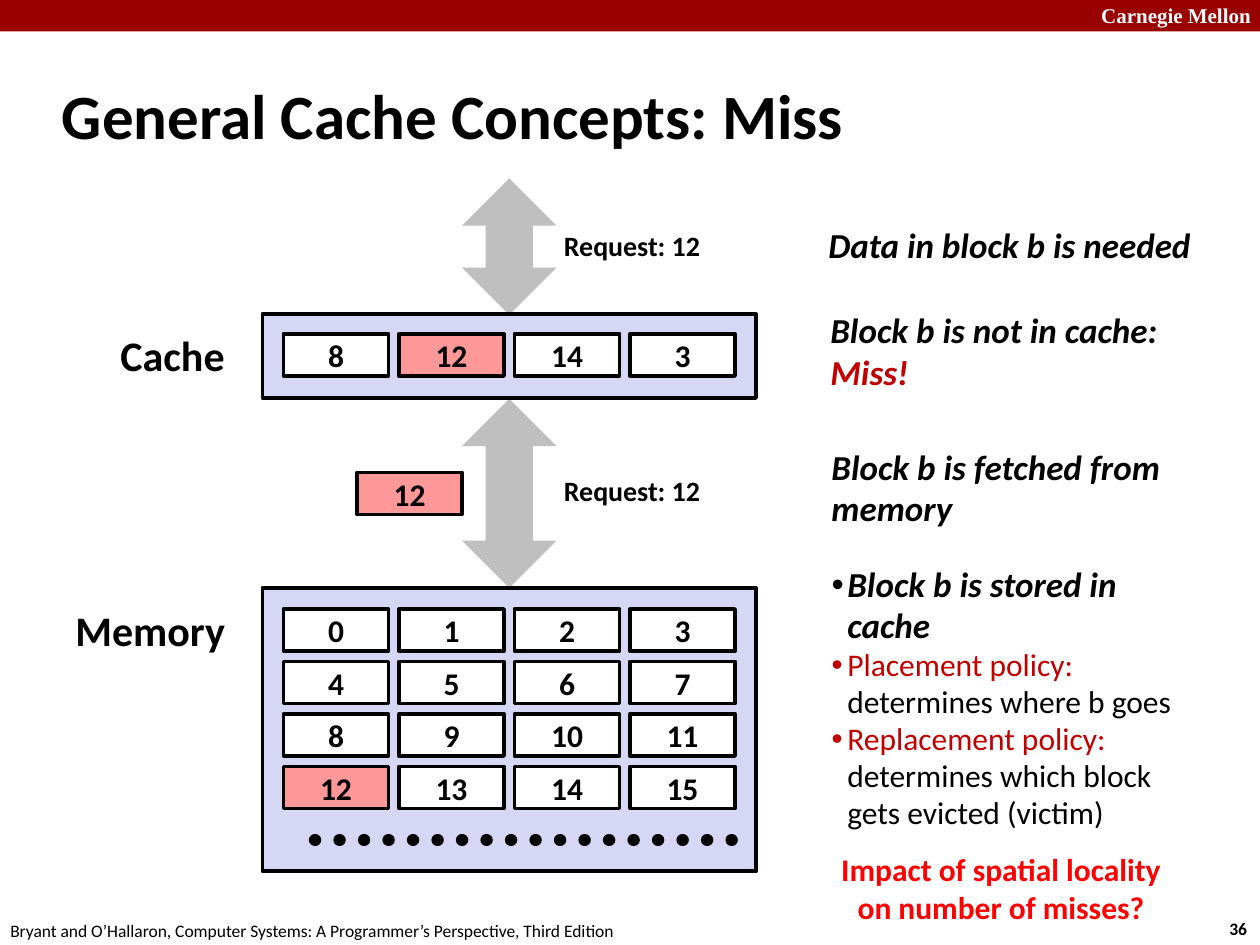
from dataclasses import dataclass

from pptx import Presentation
from pptx import util as u
from pptx.dml.color import RGBColor
from pptx.enum import dml, shapes, text
from pptx.oxml.ns import qn
from lxml import etree

EMU_PER_PX = 7620  # 120 px to the inch


@dataclass(frozen=True)
class Theme:
    font: str = "Calibri"
    banner_font: str = "Times New Roman"
    black: str = "000000"
    white: str = "FFFFFF"
    banner: str = "990000"
    arrow: str = "BFBFBF"
    panel: str = "D6D6F5"
    block: str = "FFFFFF"
    active: str = "FF9999"
    accent: str = "C00000"
    question: str = "FF0000"
    title_size: int = 36
    label_size: int = 24
    note_size: int = 20
    body_size: int = 18
    request_size: int = 16
    banner_size: int = 12
    footer_size: int = 10
    outline: float = 2.25
    dots: int = 7
    note_spacing: float = 0.98


def px(value):
    return u.Emu(value * EMU_PER_PX)


def box(*lengths):
    return [px(length) for length in lengths]


class SlideBuilder:
    def __init__(self, slide, theme):
        self.slide = slide
        self.theme = theme

    def style(self, item, size, color=None, bold=True, italic=False, font=None):
        """Format a paragraph's runs, or one single run."""
        for run in getattr(item, "runs", [item]):
            run.font.name = font or self.theme.font
            run.font.size = u.Pt(size)
            run.font.bold = bold
            run.font.italic = italic
            run.font.color.rgb = RGBColor.from_string(color or self.theme.black)

    def title(self, words, *bounds):
        shape = self.slide.shapes.title
        shape.left, shape.top, shape.width, shape.height = box(*bounds)
        frame = shape.text_frame
        frame.text = words
        frame.vertical_anchor = text.MSO_ANCHOR.MIDDLE
        frame.paragraphs[0].alignment = text.PP_ALIGN.LEFT
        self.style(frame.paragraphs[0], self.theme.title_size)

    def shape(self, kind, fill, *bounds, outlined=False):
        shape = self.slide.shapes.add_shape(kind, *box(*bounds))
        shape.shadow.inherit = False
        shape.fill.solid()
        shape.fill.fore_color.rgb = RGBColor.from_string(fill)
        if outlined:
            shape.line.color.rgb = RGBColor.from_string(self.theme.black)
            shape.line.width = u.Pt(self.theme.outline)
        else:
            shape.line.fill.background()
        return shape

    def panel(self, *bounds):
        self.shape(shapes.MSO_SHAPE.RECTANGLE, self.theme.panel, *bounds, outlined=True)

    def arrow(self, *bounds):
        self.shape(shapes.MSO_SHAPE.UP_DOWN_ARROW, self.theme.arrow, *bounds)

    def block(self, number, left, top):
        fill = self.theme.active if number == 12 else self.theme.block
        shape = self.shape(shapes.MSO_SHAPE.RECTANGLE, fill, left, top, 100, 40, outlined=True)
        frame = shape.text_frame
        frame.text = str(number)
        frame.vertical_anchor = text.MSO_ANCHOR.MIDDLE
        frame.paragraphs[0].alignment = text.PP_ALIGN.CENTER
        self.style(frame.paragraphs[0], self.theme.body_size)

    def block_row(self, numbers, top):
        for column, number in enumerate(numbers):
            self.block(number, 270 + 110 * column, top)

    def text(self, words, *bounds, size, centred=False, **look):
        frame = self.slide.shapes.add_textbox(*box(*bounds)).text_frame
        frame.text = words
        frame.word_wrap = False
        for paragraph in frame.paragraphs:
            if centred:
                paragraph.alignment = text.PP_ALIGN.CENTER
            self.style(paragraph, size, **look)
        return frame

    def note(self, words, *bounds):
        frame = self.text(words, *bounds, size=self.theme.note_size, italic=True)
        frame.vertical_anchor = text.MSO_ANCHOR.MIDDLE
        for paragraph in frame.paragraphs:
            paragraph.line_spacing = self.theme.note_spacing
        return frame

    def policy_list(self, heading, items, *bounds):
        shape = self.slide.placeholders[1]
        shape.left, shape.top, shape.width, shape.height = box(*bounds)
        frame = shape.text_frame
        frame.text = "\n".join([heading] + items)
        frame.word_wrap = False
        frame.auto_size = text.MSO_AUTO_SIZE.NONE
        frame.vertical_anchor = text.MSO_ANCHOR.MIDDLE
        first, *rest = frame.paragraphs
        for paragraph in frame.paragraphs:
            self.bullet(paragraph, None if paragraph is first else "•")
            paragraph.line_spacing = self.theme.note_spacing
            paragraph.space_before = u.Pt(0)
        self.style(first, self.theme.note_size, italic=True)
        for paragraph in rest:
            self.style(paragraph, self.theme.body_size, bold=False)
            self.style(paragraph.runs[0], self.theme.body_size, self.theme.accent, bold=False)

    def bullet(self, paragraph, character):
        properties = paragraph._p.get_or_add_pPr()
        indent = px(15) if character else 0
        properties.set("marL", str(indent))
        properties.set("indent", str(-indent))
        if character:
            etree.SubElement(properties, qn("a:buFont")).set("typeface", "Arial")
            etree.SubElement(properties, qn("a:buChar")).set("char", character)
        else:
            etree.SubElement(properties, qn("a:buNone"))

    def dotted_line(self, *ends):
        line = self.slide.shapes.add_connector(shapes.MSO_CONNECTOR.STRAIGHT, *box(*ends))
        line.line.color.rgb = RGBColor.from_string(self.theme.black)
        line.line.width = u.Pt(self.theme.dots)
        line.line.dash_style = dml.MSO_LINE.ROUND_DOT
        properties = line._element.spPr
        properties.find(qn("a:ln")).set("cap", "rnd")
        etree.SubElement(properties, qn("a:effectLst"))


def main():
    theme = Theme()
    presentation = Presentation()
    presentation.slide_width, presentation.slide_height = box(1200, 900)
    slide = presentation.slides.add_slide(presentation.slide_layouts[1])
    builder = SlideBuilder(slide, theme)

    # Banner, title and footer
    builder.shape(shapes.MSO_SHAPE.RECTANGLE, theme.banner, 0, 0, 1200, 30)
    builder.text("Carnegie Mellon", 1037, -3, 171, 36, size=theme.banner_size,
                 color=theme.white, font=theme.banner_font)
    builder.title("General Cache Concepts: Miss", 47, 59, 996, 100)
    builder.text("36", 1159, 868, 45, 32, size=theme.footer_size)
    builder.text("Bryant and O’Hallaron, Computer Systems: A Programmer’s Perspective, Third Edition",
                 -2, 870, 610, 32, size=theme.footer_size, bold=False)

    # Request arrows and the block in transit
    builder.arrow(440, 170, 90, 130)
    builder.arrow(440, 380, 90, 180)
    for top in (212, 445):
        builder.text("Request: 12", 524, top, 156, 44, size=theme.request_size, centred=True)
    builder.block(12, 340, 450)

    # Cache
    builder.text("Cache", 103, 308, 125, 60, size=theme.label_size)
    builder.panel(250, 299, 470, 80)
    builder.block_row([8, 12, 14, 3], 318)

    # Memory
    builder.text("Memory", 60, 570, 168, 60, size=theme.label_size)
    builder.panel(250, 560, 470, 270)
    for row in range(4):
        builder.block_row(range(4 * row, 4 * row + 4), 580 + 50 * row)
    builder.dotted_line(300, 800, 700, 800)

    # Steps of a miss
    builder.note("Data in block b is needed", 777, 208, 371, 52)
    miss = builder.note("Block b is not in cache:\nMiss!", 779, 290, 337, 91)
    builder.style(miss.paragraphs[1], theme.note_size, theme.accent, italic=True)
    builder.note("Block b is fetched from\nmemory", 780, 420, 340, 91)
    builder.policy_list("Block b is stored in cache", [
        "Placement policy:\vdetermines where b goes",
        "Replacement policy:\vdetermines which block\vgets evicted (victim)",
    ], 780, 550, 368, 230)

    # Closing question
    builder.text("Impact of spatial locality\von number of misses?", 788, 804, 331, 85,
                 size=theme.body_size, color=theme.question, centred=True)

    presentation.save("out.pptx")


if __name__ == "__main__":
    main()
